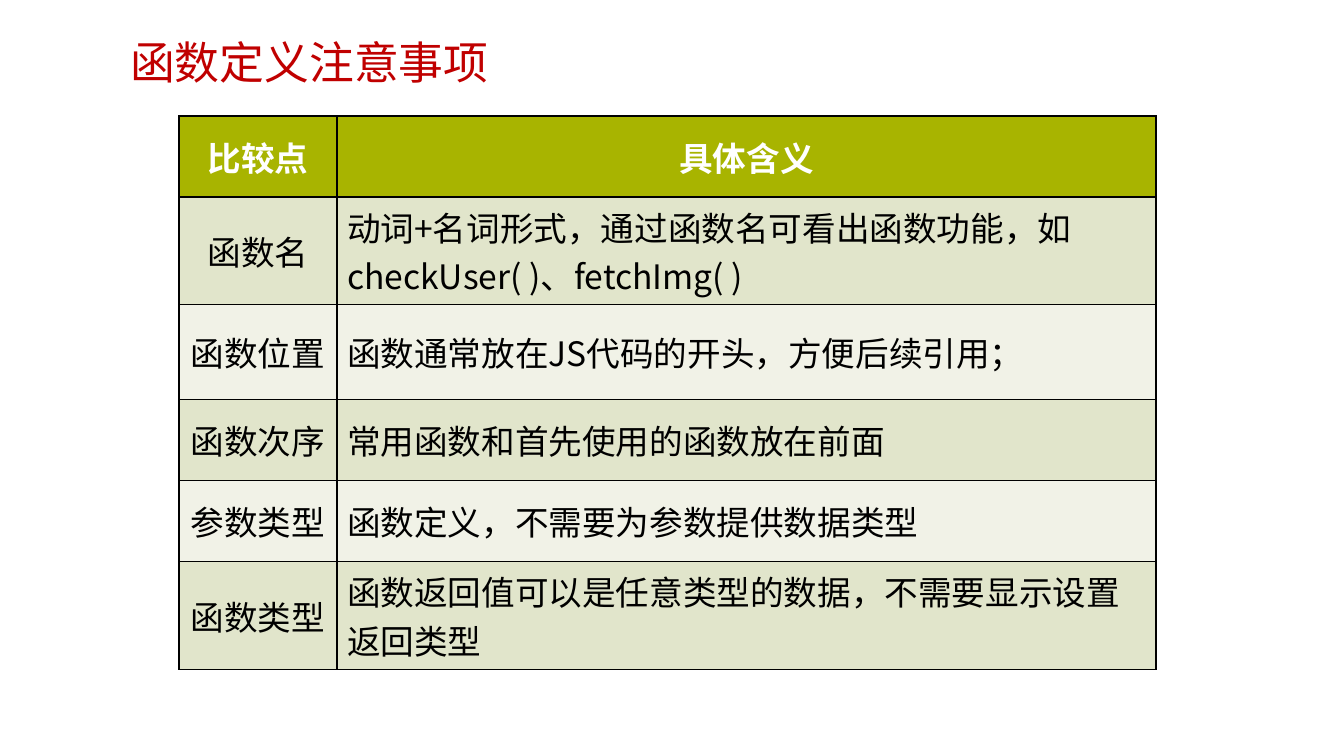
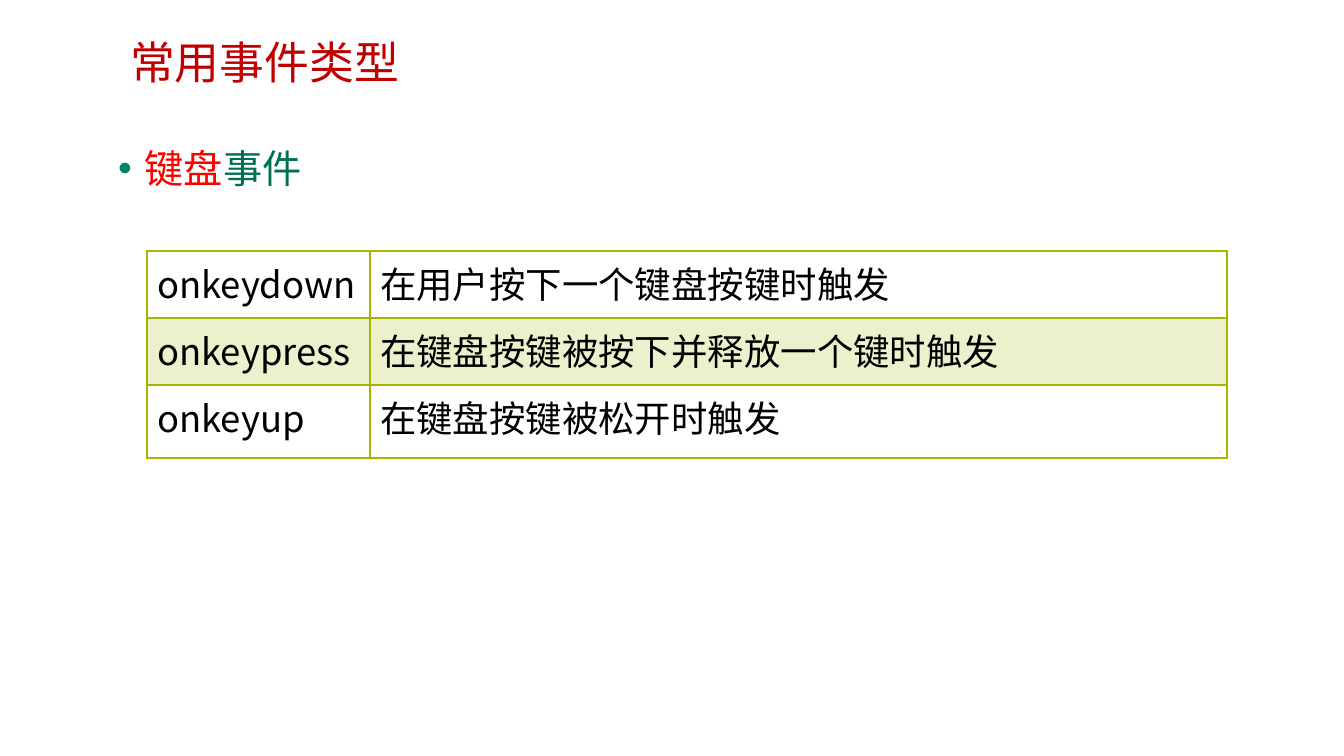
import dataclasses
import typing

import lxml.etree
import pptx
import pptx.dml.color
import pptx.enum.text
import pptx.oxml.ns
import pptx.util

RGBColor = pptx.dml.color.RGBColor
ALIGN = pptx.enum.text.PP_ALIGN
ANCHOR = pptx.enum.text.MSO_ANCHOR

EMU_PER_PIXEL = 914400 / 100.8
SANS = "Noto Sans CJK SC"
LATIN = "Arial"

BLACK = RGBColor(0x00, 0x00, 0x00)
WHITE = RGBColor(0xFF, 0xFF, 0xFF)
TITLE_RED = RGBColor(0xC0, 0x00, 0x00)
KEY_RED = RGBColor(0xFF, 0x00, 0x00)
BULLET_GREEN = RGBColor(0x00, 0x84, 0x69)
TEXT_GREEN = RGBColor(0x00, 0x6F, 0x53)
OLIVE = RGBColor(0xA8, 0xB4, 0x00)
BAND_DARK = RGBColor(0xE1, 0xE5, 0xCB)
BAND_LIGHT = RGBColor(0xF1, 0xF2, 0xE7)


@dataclasses.dataclass(frozen=True)
class Area:
    """A rectangle in pixels."""

    left: int
    top: int
    width: int
    height: int


@dataclasses.dataclass(frozen=True)
class TextStyle:
    """The look of a run of text."""

    size: int
    color: RGBColor
    font: str = SANS
    bold: bool = False


@dataclasses.dataclass(frozen=True)
class CellStyle:
    """The look of a table cell; spacing values are points."""

    text: TextStyle
    fill: typing.Optional[RGBColor] = None
    opacity: int = 100
    align: ALIGN = ALIGN.LEFT
    anchor: ANCHOR = ANCHOR.MIDDLE
    line_spacing: typing.Optional[int] = None
    paragraph_gap: int = 0


@dataclasses.dataclass(frozen=True)
class Grid:
    """Placement and border of a table, with the weight of each row's top line."""

    left: int
    top: int
    columns: tuple[int, ...]
    rows: tuple[int, ...]
    border: RGBColor
    line_weights: tuple[int, ...]


TITLE_AREA = Area(120, 26, 903, 54)
TITLE_STYLE = TextStyle(32, TITLE_RED)
BODY_AREA = Area(108, 112, 1120, 512)

NOTES_GRID = Grid(179, 116, (158, 819), (81, 107, 95, 81, 81, 108), BLACK, (1,) * 7)
NOTES = (
    ("比较点", "具体含义"),
    ("函数名", "动词+名词形式，通过函数名可看出函数功能，如checkUser( )、fetchImg( )"),
    ("函数位置", "函数通常放在JS代码的开头，方便后续引用；"),
    ("函数次序", "常用函数和首先使用的函数放在前面"),
    ("参数类型", "函数定义，不需要为参数提供数据类型"),
    ("函数类型", "函数返回值可以是任意类型的数据，不需要显示设置返回类型"),
)

EVENTS_GRID = Grid(147, 251, (223, 857), (67, 67, 73), OLIVE, (1, 2, 1, 1))
EVENTS = (
    ("onkeydown", "在用户按下一个键盘按键时触发"),
    ("onkeypress", "在键盘按键被按下并释放一个键时触发"),
    ("onkeyup", "在键盘按键被松开时触发"),
)


def px(pixels: int) -> pptx.util.Emu:
    """Turn pixels into EMU."""
    return pptx.util.Emu(round(pixels * EMU_PER_PIXEL))


def add_element(parent, tag: str, **attributes: str):
    """Append a DrawingML element and return it."""
    return lxml.etree.SubElement(parent, pptx.oxml.ns.qn(tag), attributes)


def format_run(span, style: TextStyle) -> None:
    """Apply a text style to a run."""
    span.font.size = pptx.util.Pt(style.size)
    span.font.bold = style.bold
    span.font.color.rgb = style.color
    span.font.name = style.font
    add_element(span.font._element, "a:ea", typeface=SANS)


def place(box, area: Area) -> None:
    """Move a placeholder and anchor its text at the top."""
    box.left, box.top = px(area.left), px(area.top)
    box.width, box.height = px(area.width), px(area.height)
    box.text_frame.word_wrap = True
    box.text_frame.auto_size = pptx.enum.text.MSO_AUTO_SIZE.NONE
    box.text_frame.vertical_anchor = ANCHOR.TOP


def add_page(deck, layout_index: int, title: str):
    """Add a slide with the shared title style."""
    page = deck.slides.add_slide(deck.slide_layouts[layout_index])
    box = page.shapes.title
    place(box, TITLE_AREA)
    box.text_frame.text = title
    para = box.text_frame.paragraphs[0]
    para.alignment = ALIGN.LEFT
    para.line_spacing = pptx.util.Pt(41)
    format_run(para.runs[0], TITLE_STYLE)
    return page


def fill_bullet(box, parts: tuple[tuple[str, RGBColor], ...]) -> None:
    """Write one bulleted line made of coloured parts."""
    place(box, BODY_AREA)
    para = box.text_frame.paragraphs[0]
    para.line_spacing = pptx.util.Pt(53)
    para.space_before = pptx.util.Pt(0)
    for text, color in parts:
        span = para.add_run()
        span.text = text
        format_run(span, TextStyle(28, color))
    properties = para._p.get_or_add_pPr()
    properties.set("marL", str(px(18)))
    properties.set("indent", str(-px(18)))
    bullet_color = add_element(properties, "a:buClr")
    add_element(bullet_color, "a:srgbClr", val=str(BULLET_GREEN))
    add_element(properties, "a:buFont", typeface=LATIN)
    add_element(properties, "a:buChar", char="•")


def set_borders(cell, color: RGBColor, top: int, bottom: int) -> None:
    """Draw the four borders of a cell, before its fill is set."""
    properties = cell._tc.get_or_add_tcPr()
    weights = {"a:lnL": 1, "a:lnR": 1, "a:lnT": top, "a:lnB": bottom}
    for tag, weight in weights.items():
        line = add_element(properties, tag, w=str(pptx.util.Pt(weight)))
        paint = add_element(line, "a:solidFill")
        add_element(paint, "a:srgbClr", val=str(color))


def set_fill(cell, style: CellStyle) -> None:
    """Fill a cell, or leave it clear."""
    if style.fill is None:
        cell.fill.background()
        return
    cell.fill.solid()
    cell.fill.fore_color.rgb = style.fill
    if style.opacity < 100:
        paint = cell._tc.tcPr.find(pptx.oxml.ns.qn("a:solidFill"))
        add_element(paint[0], "a:alpha", val=str(style.opacity * 1000))


def write_cell(cell, text: str, style: CellStyle) -> None:
    """Write and format the text of a cell."""
    cell.text_frame.text = text
    cell.vertical_anchor = style.anchor
    para = cell.text_frame.paragraphs[0]
    para.alignment = style.align
    if style.line_spacing:
        para.line_spacing = pptx.util.Pt(style.line_spacing)
        para.space_before = para.space_after = pptx.util.Pt(style.paragraph_gap)
    format_run(para.runs[0], style.text)


def add_grid(
    page,
    grid: Grid,
    rows: tuple[tuple[str, ...], ...],
    style_for: typing.Callable[[int, int], CellStyle],
) -> None:
    """Add a table whose cell styles follow from row and column."""
    table = page.shapes.add_table(
        len(grid.rows), len(grid.columns), px(grid.left), px(grid.top),
        px(sum(grid.columns)), px(sum(grid.rows)),
    ).table
    table.first_row = table.horz_banding = False
    for column, width in zip(table.columns, grid.columns):
        column.width = px(width)
    for row, height in zip(table.rows, grid.rows):
        row.height = px(height)
    for row_index, texts in enumerate(rows):
        top, bottom = grid.line_weights[row_index:row_index + 2]
        for column_index, text in enumerate(texts):
            cell = table.cell(row_index, column_index)
            style = style_for(row_index, column_index)
            set_borders(cell, grid.border, top, bottom)
            set_fill(cell, style)
            write_cell(cell, text, style)


def notes_style(row: int, column: int) -> CellStyle:
    """Olive header, then alternating bands with a centred first column."""
    if row == 0:
        return CellStyle(TextStyle(24, WHITE, bold=True), OLIVE, align=ALIGN.CENTER)
    band = BAND_DARK if row % 2 else BAND_LIGHT
    align = ALIGN.LEFT if column else ALIGN.CENTER
    return CellStyle(TextStyle(24, BLACK), band, align=align)


def events_style(row: int, column: int) -> CellStyle:
    """Clear rows with a pale olive band on every second one."""
    return CellStyle(
        TextStyle(26, BLACK, LATIN if column else SANS),
        OLIVE if row % 2 else None,
        opacity=20,
        anchor=ANCHOR.TOP,
        line_spacing=38,
        paragraph_gap=6,
    )


def build() -> None:
    """Build and save the deck."""
    deck = pptx.Presentation()
    deck.slide_width, deck.slide_height = px(1344), px(756)

    notes_page = add_page(deck, 5, "函数定义注意事项")
    add_grid(notes_page, NOTES_GRID, NOTES, notes_style)

    events_page = add_page(deck, 1, "常用事件类型")
    fill_bullet(events_page.placeholders[1], ((" 键盘", KEY_RED), ("事件", TEXT_GREEN)))
    add_grid(events_page, EVENTS_GRID, EVENTS, events_style)

    deck.save("out.pptx")


build()
